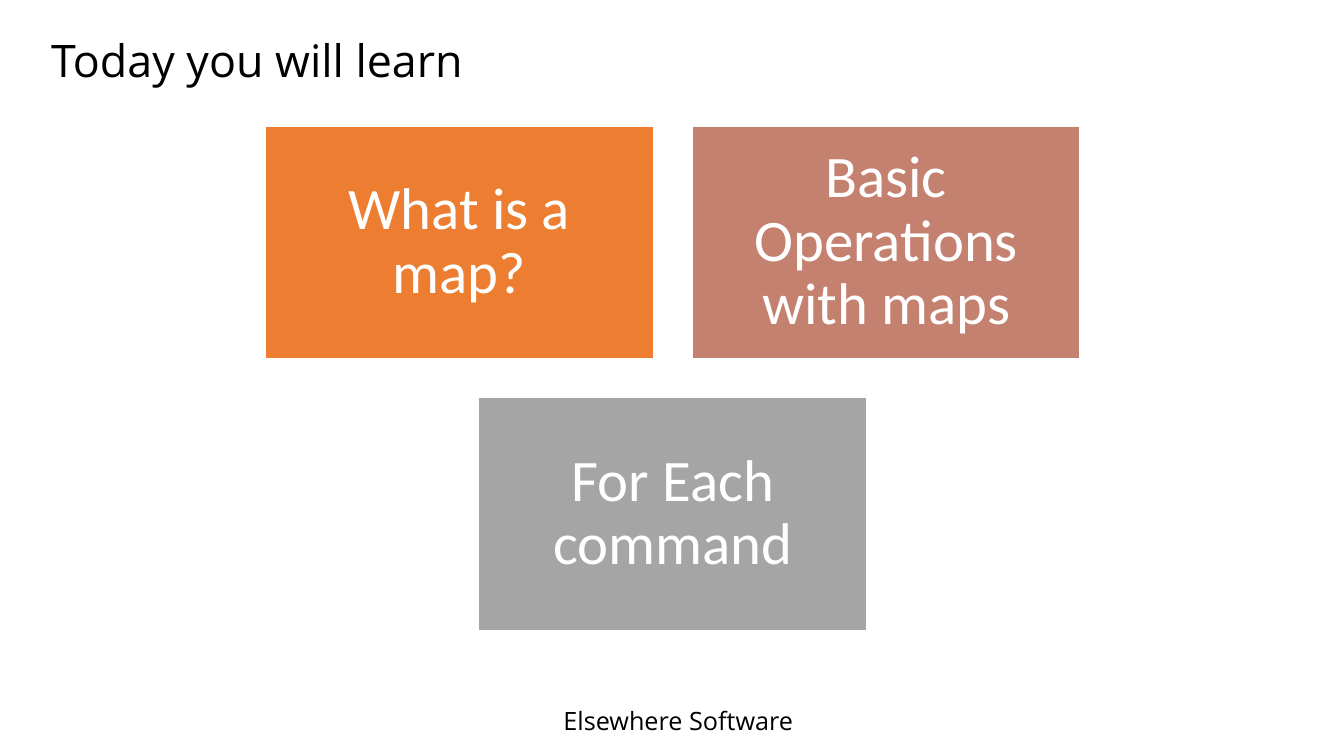
from dataclasses import dataclass

from pptx import Presentation
from pptx.dml.color import RGBColor
from pptx.enum.shapes import MSO_SHAPE
from pptx.enum.text import MSO_ANCHOR, PP_ALIGN
from pptx.util import Pt

RECTANGLE = MSO_SHAPE.RECTANGLE
MIDDLE, TOP = MSO_ANCHOR.MIDDLE, MSO_ANCHOR.TOP
CENTER, LEFT = PP_ALIGN.CENTER, PP_ALIGN.LEFT


@dataclass(frozen=True)
class Theme:
    ink: RGBColor = RGBColor(0x00, 0x00, 0x00)
    paper: RGBColor = RGBColor(0xFF, 0xFF, 0xFF)
    topic_fills: tuple = (
        RGBColor(0xED, 0x7D, 0x31),
        RGBColor(0xC4, 0x81, 0x70),
        RGBColor(0xA5, 0xA5, 0xA5),
    )
    heading_font: str = "Open Sans"
    topic_font: str = "Calibri"
    title_size: int = 32
    topic_size: int = 42
    footer_size: int = 18


THEME = Theme()


def write(frame, text, font_name, size, color, align=LEFT, anchor=MIDDLE, spacing=0.9):
    frame.word_wrap = True
    frame.vertical_anchor = anchor
    paragraph = frame.paragraphs[0]
    paragraph.text = text
    paragraph.alignment = align
    paragraph.line_spacing = spacing
    paragraph.font.name = font_name
    paragraph.font.size = Pt(size)
    paragraph.font.color.rgb = color


def add_title(slide, box, text):
    title = slide.shapes.add_textbox(*map(Pt, box))
    write(title.text_frame, text, THEME.heading_font, THEME.title_size, THEME.ink)


def add_footer(slide, box, text):
    footer = slide.shapes.add_textbox(*map(Pt, box))
    write(footer.text_frame, text, THEME.heading_font, THEME.footer_size, THEME.ink,
          anchor=TOP, spacing=1.0)


def add_topic(slide, box, text, fill):
    topic = slide.shapes.add_shape(RECTANGLE, *map(Pt, box))
    topic.shadow.inherit = False
    topic.fill.solid()
    topic.fill.fore_color.rgb = fill
    topic.line.color.rgb = THEME.paper
    topic.line.width = Pt(1)
    frame = topic.text_frame
    frame.margin_left = frame.margin_right = Pt(12)
    frame.margin_top = frame.margin_bottom = Pt(12)
    write(frame, text, THEME.topic_font, THEME.topic_size, THEME.paper, align=CENTER)


def add_topic_grid(slide, box, topics, columns=2):
    left, top, width, height = box
    topic_width = width / (columns + 0.1 * (columns - 1))
    gap = 0.1 * topic_width
    rows = -(-len(topics) // columns)
    topic_height = (height - gap * (rows - 1)) / rows
    for index, (text, fill) in enumerate(zip(topics, THEME.topic_fills)):
        row, column = divmod(index, columns)
        row_count = min(columns, len(topics) - row * columns)
        row_width = row_count * topic_width + (row_count - 1) * gap
        x = left + (width - row_width) / 2 + column * (topic_width + gap)
        y = top + row * (topic_height + gap)
        add_topic(slide, (x, y, topic_width, topic_height), text, fill)


def main():
    deck = Presentation()
    deck.slide_width, deck.slide_height = Pt(960), Pt(540)
    slide = deck.slides.add_slide(deck.slide_layouts[6])
    add_footer(slide, (395.4, 500.5, 208.8, 28.8), "Elsewhere Software")
    add_title(slide, (29.5, 10.8, 864.7, 68.4), "Today you will learn")
    add_topic_grid(slide, (189.4, 90, 582.2, 360.4),
                   ("What is a map?", "Basic Operations with maps", "For Each command"))
    deck.save("out.pptx")


main()
